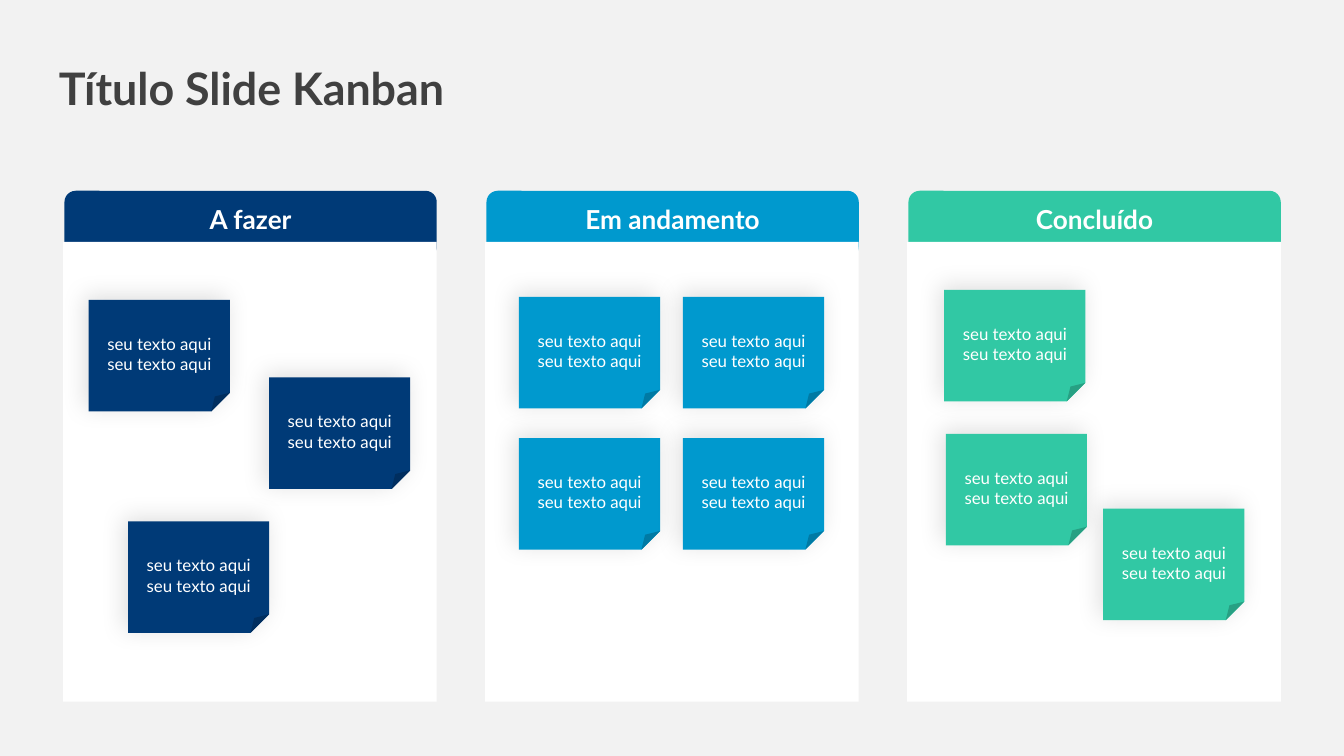
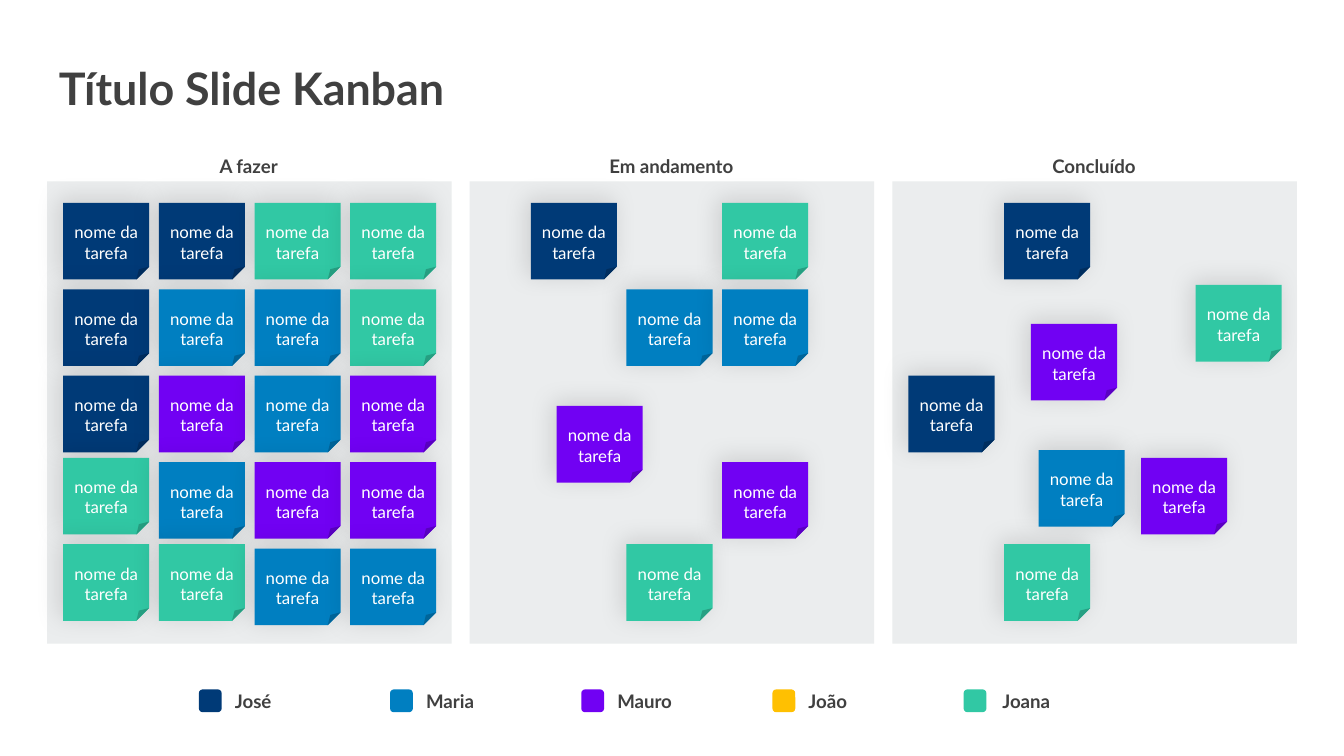
from dataclasses import dataclass
from typing import NamedTuple

from lxml import etree
from pptx import Presentation
from pptx import util as u
from pptx.dml.color import RGBColor
from pptx.enum import shapes, text
from pptx.oxml import ns

# The slide is 10 columns wide; rows are as tall as columns are wide
COLUMNS, ROWS = 10, 5.625
CELL = u.Inches(1)

FONT = "Lato"
WHITE, INK = "FFFFFF", "404040"
PAGE_GREY, PANEL_GREY = "F2F2F2", "EBEDEE"
NAVY, SKY, BLUE = "003A77", "0099CE", "007FC1"
PURPLE, YELLOW, GREEN = "7101F3", "FFC001", "31C8A4"

TITLE = "Título Slide Kanban"
STAGES = ("A fazer", "Em andamento", "Concluído")

RECT = shapes.MSO_SHAPE.RECTANGLE
ROUNDED = shapes.MSO_SHAPE.ROUNDED_RECTANGLE
FOLDED = shapes.MSO_SHAPE.FOLDED_CORNER
CENTER, LEFT = text.PP_ALIGN.CENTER, text.PP_ALIGN.LEFT
MIDDLE, TOP = text.MSO_ANCHOR.MIDDLE, text.MSO_ANCHOR.TOP
HEADER_INSETS = (0.1, 0, 0.1, 0.08)
NOTE_INSETS = (0.04, 0.16, 0.04, 0.05)


class Area(NamedTuple):
    """Left, top, width and height in columns and rows."""
    left: float
    top: float
    width: float
    height: float

    def lengths(self):
        return [round(side * CELL) for side in self]


@dataclass(frozen=True)
class Grid:
    """Equal areas repeated at a fixed pitch; places may be fractional."""
    first: Area
    across: float
    down: float = 0

    def at(self, column: float, row: float = 0) -> Area:
        return self.first._replace(left=self.first.left + column * self.across,
                                   top=self.first.top + row * self.down)

    def moved(self, shift: float) -> "Grid":
        return Grid(self.first._replace(left=self.first.left + shift), self.across, self.down)


class Note(NamedTuple):
    column: float
    row: float
    color: str


class Person(NamedTuple):
    name: str
    color: str
    gap: float = 0.17


def rgb(color: str) -> RGBColor:
    return RGBColor.from_string(color)


def write(box, words: str, *, size: float, color: str = INK, bold: bool = False,
          align=LEFT, anchor=MIDDLE, insets=(0.1, 0.05, 0.1, 0.05)) -> None:
    frame = box.text_frame
    frame.word_wrap = True
    frame.vertical_anchor = anchor
    (frame.margin_left, frame.margin_top,
     frame.margin_right, frame.margin_bottom) = map(u.Inches, insets)
    para = frame.paragraphs[0]
    para.alignment = align
    span = para.add_run()
    span.text = words
    span.font.name, span.font.size, span.font.bold = FONT, u.Pt(size), bold
    span.font.color.rgb = rgb(color)


def add_block(page, area: Area, color: str, kind=RECT):
    box = page.shapes.add_shape(kind, *area.lengths())
    box.shadow.inherit = False
    box.fill.solid()
    box.fill.fore_color.rgb = rgb(color)
    box.line.fill.background()
    return box


def add_label(page, area: Area, words: str, **style) -> None:
    box = page.shapes.add_textbox(*area.lengths())
    write(box, words, bold=True, **style)
    box.text_frame.auto_size = text.MSO_AUTO_SIZE.SHAPE_TO_FIT_TEXT


def add_soft_shadow(box) -> None:
    effects = box._element.spPr.find(ns.qn("a:effectLst"))
    shadow = etree.SubElement(effects, ns.qn("a:outerShdw"), blurRad=str(u.Pt(13)),
                              dist=str(u.Pt(3)), dir=str(225 * 60000),
                              algn="ctr", rotWithShape="0")
    tint = etree.SubElement(shadow, ns.qn("a:srgbClr"), val="000000")
    etree.SubElement(tint, ns.qn("a:alpha"), val="12000")


def add_notes(page, grid: Grid, notes, words: str) -> None:
    for note in notes:
        box = add_block(page, grid.at(note.column, note.row), note.color, FOLDED)
        add_soft_shadow(box)
        write(box, words, size=9, color=WHITE, align=CENTER, insets=NOTE_INSETS)


def add_page(deck):
    page = deck.slides.add_slide(deck.slide_layouts[6])
    page.background.fill.solid()
    page.background.fill.fore_color.rgb = rgb(WHITE)
    return page


def add_title(page) -> None:
    add_label(page, Area(0.34, 0.4, 7.18, 0.5), TITLE, size=24)


# Slide 1: one colour for each stage
STAGE_COLORS = (NAVY, SKY, GREEN)
STAGE_PITCH = 3.14
HEADERS = Grid(Area(0.48, 1.42, 2.77, 0.5), STAGE_PITCH)
STAGE_PANELS = Grid(Area(0.47, 1.8, 2.78, 3.42), STAGE_PITCH)
STAGE_NOTES = Grid(Area(0.66, 2.21, 1.05, 0.83), 1.22, 1.05)
STAGE_PLACES = (
    ((0, 0.02), (1.1, 0.57), (0.24, 1.59)),
    ((0.05, 0), (1.05, 0), (0.05, 1), (1.05, 1)),
    ((0.07, -0.05), (0.08, 0.97), (1.04, 1.5)),
)


def build_stage_board(deck) -> None:
    page = add_page(deck)
    add_block(page, Area(0, 0, COLUMNS, ROWS), PAGE_GREY)
    add_title(page)
    for index, (stage, color, places) in enumerate(zip(STAGES, STAGE_COLORS, STAGE_PLACES)):
        header = add_block(page, HEADERS.at(index), color, ROUNDED)
        write(header, stage, size=14, color=WHITE, bold=True,
              align=CENTER, insets=HEADER_INSETS)
        add_block(page, STAGE_PANELS.at(index), WHITE)
        add_notes(page, STAGE_NOTES.moved(index * STAGE_PITCH),
                  [Note(*place, color) for place in places],
                  "seu texto aqui seu texto aqui")


# Slide 2: one colour for each person
TEAM_PITCH = 3.145
TEAM_PANELS = Grid(Area(0.35, 1.35, 3.01, 3.44), TEAM_PITCH)
TEAM_LABELS = Grid(Area(0.82, 1.1, 2.06, 0.27), TEAM_PITCH)
TEAM_NOTES = Grid(Area(0.47, 1.51, 0.64, 0.57), 0.712, 0.643)
SWATCHES = Grid(Area(1.48, 5.13, 0.17, 0.17), 1.4225)
PEOPLE = (Person("José", NAVY), Person("Maria", BLUE), Person("Mauro", PURPLE),
          Person("João", YELLOW), Person("Joana", GREEN, 0.19))

TODO_COLORS = (
    (NAVY, NAVY, GREEN, GREEN),
    (NAVY, BLUE, BLUE, GREEN),
    (NAVY, PURPLE, BLUE, PURPLE),
    (GREEN, BLUE, PURPLE, PURPLE),
    (GREEN, GREEN, BLUE, BLUE),
)
RAISED = {(0, 3), (0, 4), (1, 4)}  # to-do notes that sit slightly above their row
TODO = [Note(column, row - 0.05 * ((column, row) in RAISED), color)
        for row, colors in enumerate(TODO_COLORS) for column, color in enumerate(colors)]
DOING = (Note(0.47, 0, NAVY), Note(2.47, 0, GREEN), Note(1.47, 1, BLUE),
         Note(2.47, 1, BLUE), Note(2.47, 3, PURPLE), Note(1.47, 3.95, GREEN),
         Note(0.74, 2.35, PURPLE))
DONE = (Note(1, 0, NAVY), Note(3, 0.95, GREEN), Note(0, 2, NAVY), Note(1.28, 1.4, PURPLE),
        Note(1.36, 2.86, BLUE), Note(2.43, 2.95, PURPLE), Note(1, 3.95, GREEN))


def build_team_board(deck) -> None:
    page = add_page(deck)
    add_title(page)
    for index, (stage, notes) in enumerate(zip(STAGES, (TODO, DOING, DONE))):
        add_block(page, TEAM_PANELS.at(index), PANEL_GREY)
        add_label(page, TEAM_LABELS.at(index), stage, size=10, align=CENTER, anchor=TOP)
        add_notes(page, TEAM_NOTES.moved(index * TEAM_PITCH), notes, "nome da tarefa")

    # Legend
    for index, person in enumerate(PEOPLE):
        swatch = SWATCHES.at(index)
        add_block(page, swatch, person.color, ROUNDED)
        add_label(page, Area(swatch.left + person.gap, 5.08, 1.16, 0.27),
                  person.name, size=10)


def main() -> None:
    deck = Presentation()
    deck.slide_width, deck.slide_height = round(COLUMNS * CELL), round(ROWS * CELL)
    build_stage_board(deck)
    build_team_board(deck)
    deck.save("out.pptx")


if __name__ == "__main__":
    main()
